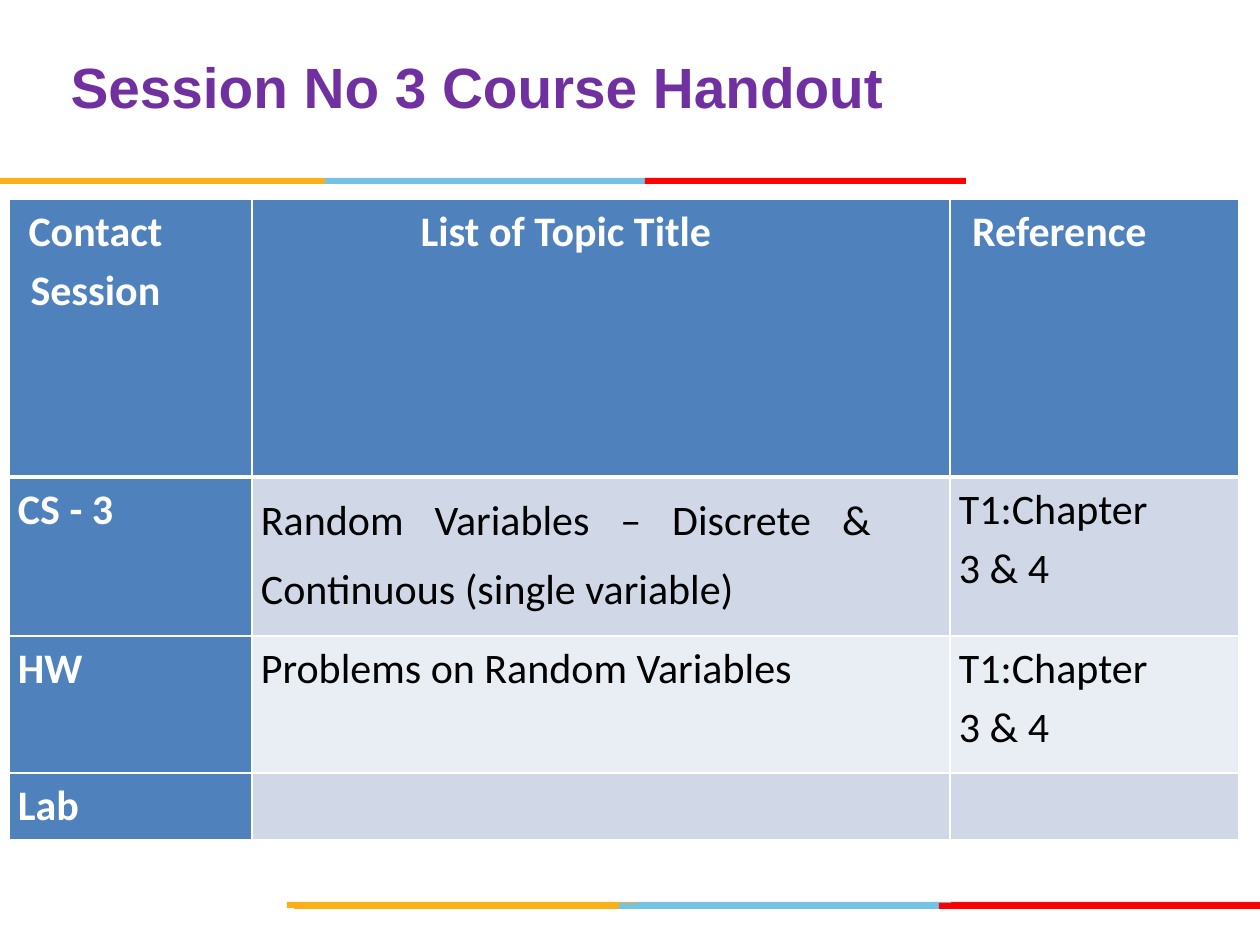
import dataclasses
import itertools

import lxml.etree
import pptx
import pptx.dml.color
import pptx.enum.text
import pptx.oxml.ns
import pptx.util

EMU_PER_PX = 914400 / 126
ALIGN = pptx.enum.text.PP_ALIGN


@dataclasses.dataclass(frozen=True)
class Theme:
    title_font: str = "Arial"
    title_size: float = 32.4
    title_color: str = "7030A0"
    table_font: str = "Calibri"
    table_size: int = 24
    header_fill: str = "4F81BD"
    band_fills: tuple = ("D0D8E8", "E9EDF4")
    white: str = "FFFFFF"
    black: str = "000000"
    stripes: tuple = ("FCB017", "76C2E5", "FF0000")
    stripes_under: tuple = ("FCB017", "76C2E5", "E31C24")


THEME = Theme()

COLUMN_WIDTHS = (243, 698, 289)
ROW_HEIGHTS = (278, 159, 137, 67)
ROWS = (
    ("Contact Session", "List of Topic Title", "Reference"),
    ("CS - 3", "Random Variables – Discrete & Continuous (single variable)",
     "T1:Chapter 3 & 4"),
    ("HW", "Problems on Random Variables", "T1:Chapter 3 & 4"),
    ("Lab", "", ""),
)
JUSTIFIED_CELL = (1, 1)


def px(length):
    return pptx.util.Emu(round(length * EMU_PER_PX))


def rgb(value):
    return pptx.dml.color.RGBColor.from_string(value)


def add_span(para, text, font, size, color, bold):
    span = para.add_run()
    span.text = text
    span.font.name = font
    span.font.size = pptx.util.Pt(size)
    span.font.bold = bold
    span.font.color.rgb = rgb(color)


def place_title(page, left, top, width, height):
    box = page.shapes.title
    box.left, box.top, box.width, box.height = map(px, (left, top, width, height))
    frame = box.text_frame
    frame.word_wrap = True
    frame.auto_size = pptx.enum.text.MSO_AUTO_SIZE.NONE
    frame.vertical_anchor = pptx.enum.text.MSO_ANCHOR.MIDDLE
    para = frame.paragraphs[0]
    para.alignment = ALIGN.CENTER
    add_span(para, "Session No 3 Course Handout", THEME.title_font,
             THEME.title_size, THEME.title_color, True)


def add_stripe(page, top, edges, colors, height=6):
    """Draw one coloured bar between each pair of neighbouring edges."""
    for (left, right), color in zip(itertools.pairwise(edges), colors):
        bar = page.shapes.add_shape(
            pptx.enum.shapes.MSO_SHAPE.RECTANGLE,
            px(left), px(top), px(right - left), px(height))
        bar.shadow.inherit = False
        bar.fill.solid()
        bar.fill.fore_color.rgb = rgb(color)
        bar.line.fill.background()


def add_borders(cell, bottom_width):
    """Add white cell borders; call before the cell gets its fill."""
    properties = cell._tc.get_or_add_tcPr()
    qualified = pptx.oxml.ns.qn
    for side, points in (("L", 1), ("R", 1), ("T", 1), ("B", bottom_width)):
        line = lxml.etree.SubElement(properties, qualified(f"a:ln{side}"),
                                     w=str(pptx.util.Pt(points)))
        fill = lxml.etree.SubElement(line, qualified("a:solidFill"))
        lxml.etree.SubElement(fill, qualified("a:srgbClr"), val=THEME.white)


def format_cell(cell, row, column, text):
    is_header = row == 0 or column == 0
    add_borders(cell, 3 if row == 0 else 1)
    cell.fill.solid()
    cell.fill.fore_color.rgb = rgb(
        THEME.header_fill if is_header else THEME.band_fills[(row - 1) % 2])
    cell.margin_left = px(9)
    cell.margin_right = px(9 + 70 if text else 9)
    cell.margin_top = cell.margin_bottom = 0
    if not text:
        return
    para = cell.text_frame.paragraphs[0]
    para.line_spacing = 1.15
    para.alignment = ALIGN.CENTER if row == 0 else ALIGN.LEFT
    if (row, column) == JUSTIFIED_CELL:
        para.alignment = ALIGN.JUSTIFY
        para.line_spacing = 1.36
    add_span(para, text, THEME.table_font, THEME.table_size,
             THEME.white if is_header else THEME.black, is_header)


def add_session_table(page, left, top):
    table = page.shapes.add_table(
        len(ROWS), len(COLUMN_WIDTHS), px(left), px(top),
        px(sum(COLUMN_WIDTHS)), px(sum(ROW_HEIGHTS))).table
    for column, width in zip(table.columns, COLUMN_WIDTHS):
        column.width = px(width)
    for row, height in zip(table.rows, ROW_HEIGHTS):
        row.height = px(height)
    for row, texts in enumerate(ROWS):
        for column, text in enumerate(texts):
            format_cell(table.cell(row, column), row, column, text)


def main():
    deck = pptx.Presentation()
    deck.slide_width, deck.slide_height = px(1260), px(945)
    page = deck.slides.add_slide(deck.slide_layouts[5])
    add_stripe(page, 902, (287, 638, 951, 1260), THEME.stripes_under)
    add_stripe(page, 903, (294, 619, 939, 1260), THEME.stripes)
    add_stripe(page, 178, (0, 325, 645, 966), THEME.stripes)
    add_session_table(page, 9, 199)
    place_title(page, 9, 4, 936, 164)
    deck.save("out.pptx")


if __name__ == "__main__":
    main()
